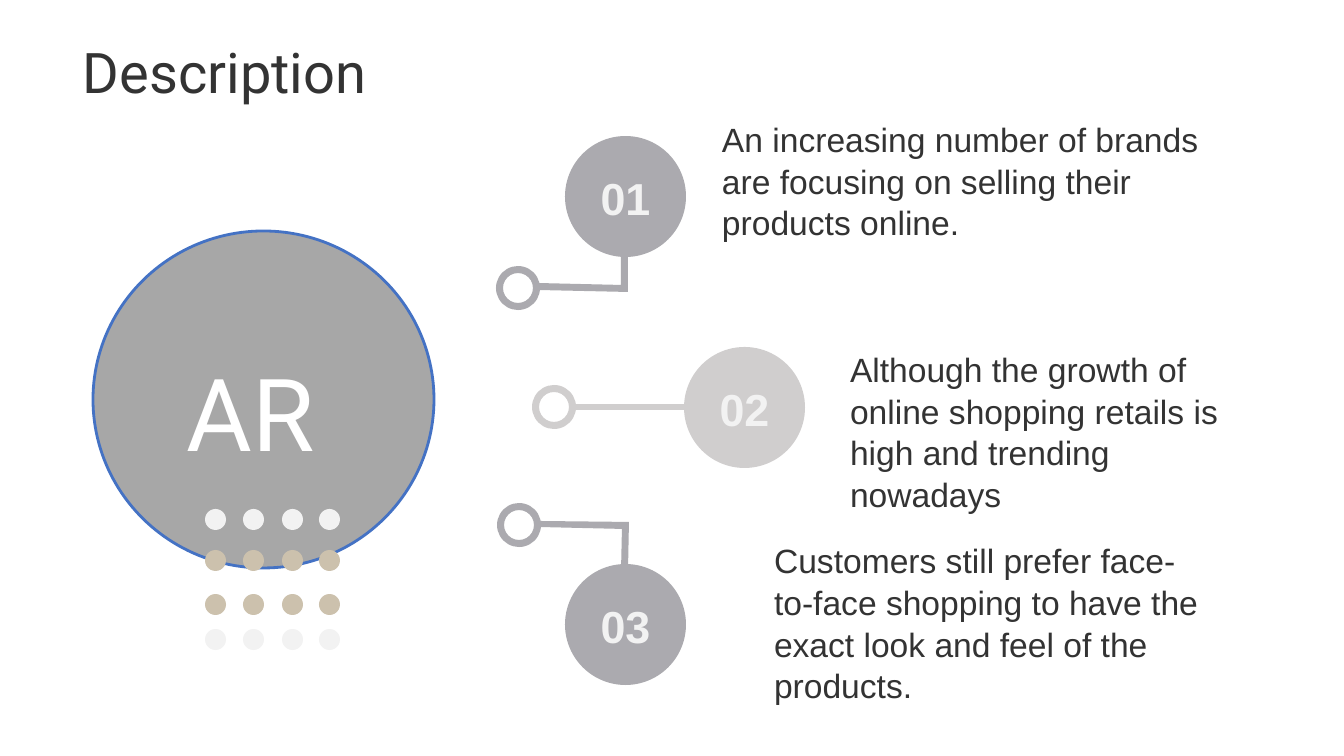
"""Build the Description slide: an AR disc, three numbered points and a dot grid."""
import pptx
import pptx.dml.color
import pptx.enum.shapes
import pptx.enum.text
import pptx.oxml.ns
import pptx.util
from lxml import etree

PX = 914400 / 100.8
COLORS = {"ink": "333333", "white": "FFFFFF", "pale": "F2F2F2", "disc": "A7A7A7",
          "rim": "4472C4", "gray": "ABAAAF", "light": "D0CECE", "sand": "CCC1AD"}
SHAPE = pptx.enum.shapes.MSO_SHAPE
LEFT, CENTER = pptx.enum.text.PP_ALIGN.LEFT, pptx.enum.text.PP_ALIGN.CENTER


def color(name):
    return pptx.dml.color.RGBColor.from_string(COLORS[name])


def add_text(words, box, size, ink="ink", font="Arial", bold=False, align=LEFT):
    frame = slide.shapes.add_textbox(*[round(v * PX) for v in box]).text_frame
    frame.word_wrap = True
    frame.margin_left = frame.margin_right = round(5 * PX)
    frame.margin_top = frame.margin_bottom = round(5 * PX)
    paragraph = frame.paragraphs[0]
    paragraph.text = words
    paragraph.alignment = align
    paragraph.line_spacing = 1.04
    paragraph.font.size = pptx.util.Pt(size)
    paragraph.font.name = font
    paragraph.font.bold = bold
    paragraph.font.color.rgb = color(ink)


def add_round(kind, left, top, width, height, fill):
    figure = slide.shapes.add_shape(kind, *[round(v * PX) for v in (left, top, width, height)])
    figure.shadow.inherit = False
    figure.fill.solid()
    figure.fill.fore_color.rgb = color(fill)
    figure.line.fill.background()
    return figure


deck = pptx.Presentation()
deck.slide_width = round(1344 * PX)
deck.slide_height = round(756 * PX)
slide = deck.slides.add_slide(deck.slide_layouts[6])

disc = add_round(SHAPE.OVAL, 93, 231, 341, 337, "disc")
disc.line.color.rgb = color("rim")
disc.line.width = pptx.util.Pt(2)

elbows = [
    [(536, 290), (628, 292), (628, 252), (621, 252), (621, 285), (536, 283)],
    [(537, 527), (622, 529), (621, 574), (628, 574), (629, 522), (537, 521)],
]
for start, *corners in elbows:
    builder = slide.shapes.build_freeform(*start, scale=PX)
    builder.add_line_segments(corners, close=True)
    elbow = builder.convert_to_shape()
    elbow.shadow.inherit = False
    elbow.fill.solid()
    elbow.fill.fore_color.rgb = color("gray")
    elbow.line.fill.background()

stem = slide.shapes.add_connector(pptx.enum.shapes.MSO_CONNECTOR.STRAIGHT,
                                  *[round(v * PX) for v in (573, 407, 684, 407)])
stem.line.color.rgb = color("light")
stem.line.width = pptx.util.Pt(4.5)
etree.SubElement(stem._element.spPr, pptx.oxml.ns.qn("a:effectLst"))

points = [
    ("01", "gray", (496, 266), (565, 136), (717, 112, 495, 132),
     "An increasing number of brands are focusing on selling their products online."),
    ("02", "light", (532, 385), (684, 347), (845, 342, 418, 132),
     "Although the growth of online shopping retails is high and trending nowadays"),
    ("03", "gray", (497, 503), (565, 564), (769, 533, 440, 106),
     "Customers still prefer face-to-face shopping to have the exact look and feel "
     "of the products."),
]
for number, tone, ring_at, badge_at, statement_box, statement in points:
    ring = add_round(SHAPE.DONUT, *ring_at, 44, 44, tone)
    ring.adjustments[0] = 0.16
    add_round(SHAPE.OVAL, *badge_at, 121, 121, tone)
    add_text(number, (badge_at[0] + 12, badge_at[1] + 28, 97, 64), 32, "pale",
             bold=True, align=CENTER)
    add_text(statement, statement_box, 24)

for top, tone in [(509, "pale"), (550, "sand"), (594, "sand"), (629, "pale")]:
    for left in (205, 243, 282, 319):
        add_round(SHAPE.OVAL, left, top, 21, 21, tone)

add_text("Description", (78, 30, 795, 78), 40, font="Roboto")
add_text("AR", (182, 341, 171, 132), 72, "white", font="Roboto")

deck.save("out.pptx")
